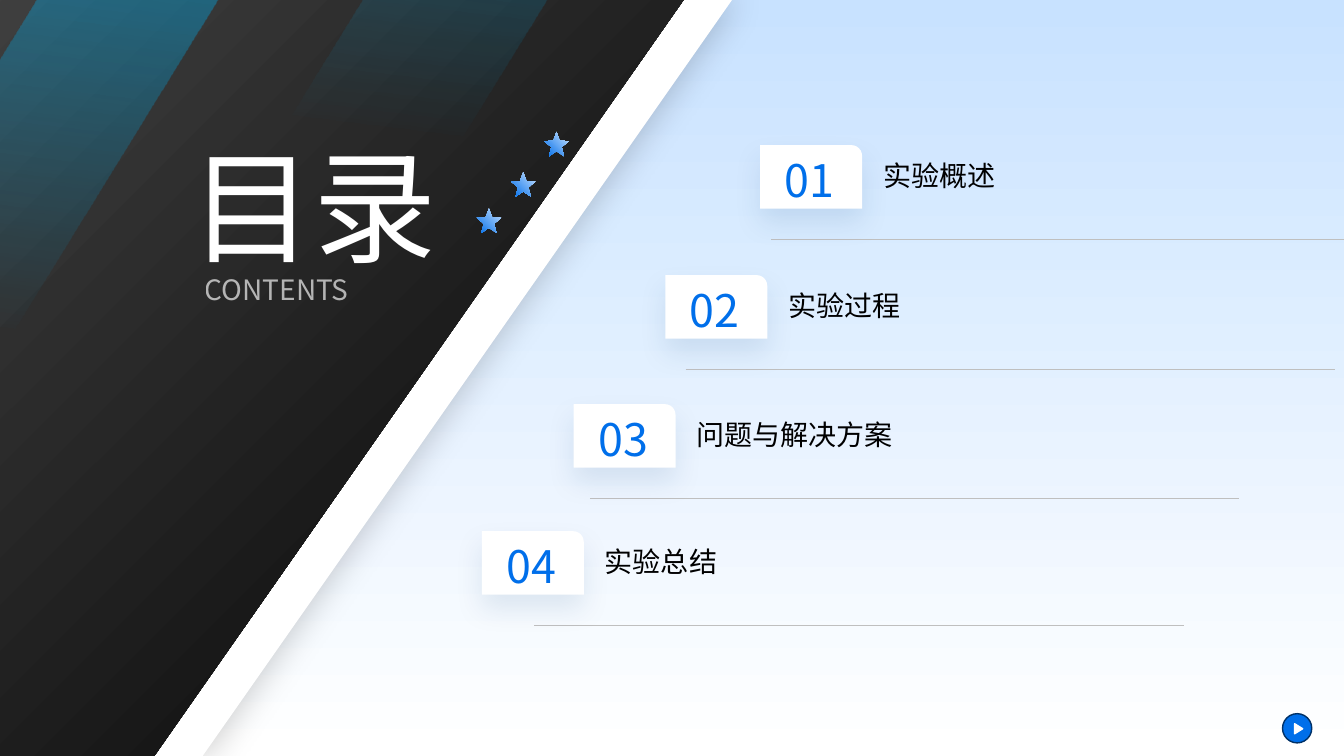
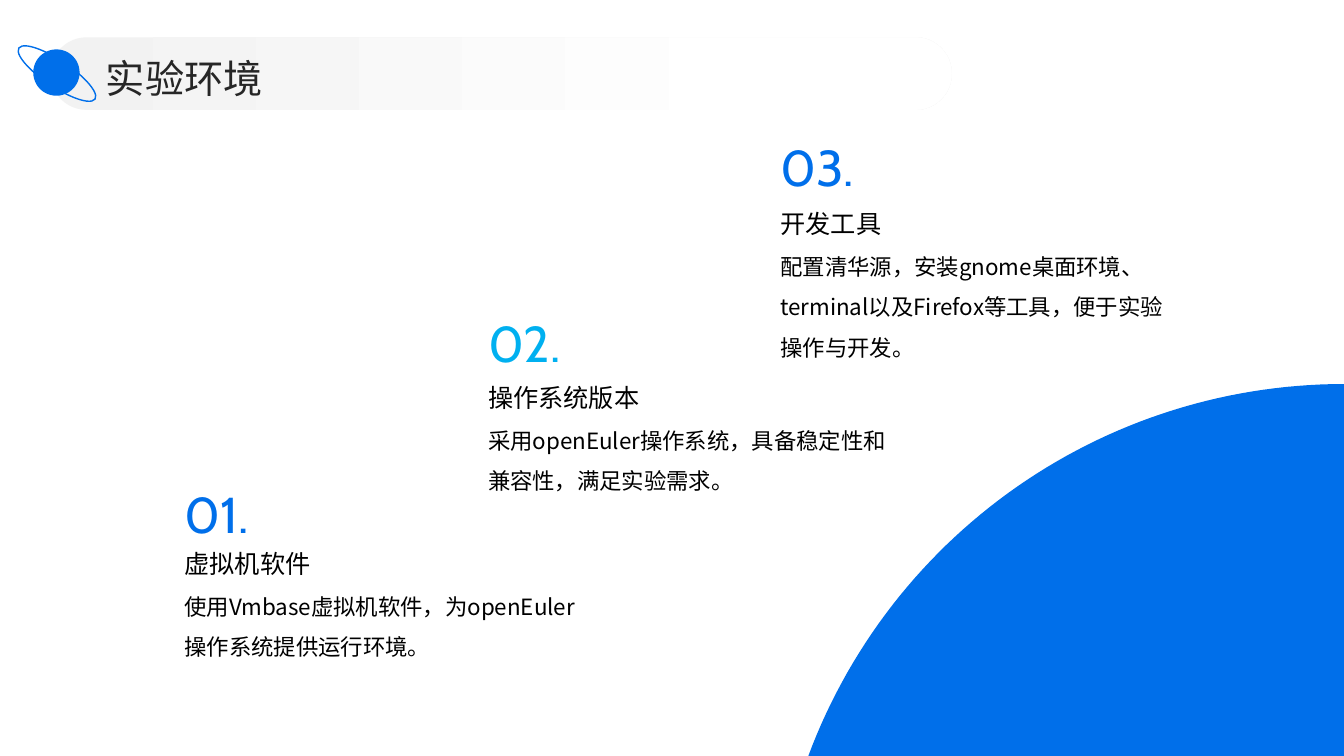
"""Build a contents slide and an experiment-environment slide."""
from dataclasses import dataclass
from math import acos, cos, sin

from lxml.etree import SubElement
from pptx import Presentation
from pptx.dml.color import RGBColor
from pptx.enum.shapes import MSO_CONNECTOR, MSO_SHAPE
from pptx.enum.text import MSO_ANCHOR, PP_ALIGN
from pptx.oxml.ns import qn
from pptx.util import Inches, Pt


@dataclass(frozen=True)
class Theme:
    """Colours, fonts and type sizes."""
    blue: str = "006FEA"
    navy: str = "003167"
    cyan: str = "00B0F0"
    sky: str = "C8E2FF"
    white: str = "FFFFFF"
    black: str = "000000"
    charcoal: str = "404040"
    ink: str = "262626"
    mist: str = "F2F2F2"
    rule: str = "BFBFBF"
    card_shadow: str = "003775"
    font: str = "Noto Sans CJK SC"
    number_font: str = "Cabin"
    cover_size: int = 88
    step_number_size: int = 36
    card_number_size: int = 32
    title_size: int = 28
    label_size: int = 20
    heading_size: int = 18
    body_size: int = 16


THEME = Theme()
WIDTH, HEIGHT = 13.33, 7.5

COVER_TITLE = "目录"
COVER_SUBTITLE = "CONTENTS"
AGENDA = [
    ("01", "实验概述", 7.54, 1.44, 7.65),
    ("02", "实验过程", 6.6, 2.73, 6.8),
    ("03", "问题与解决方案", 5.69, 4.01, 5.85),
    ("04", "实验总结", 4.78, 5.27, 5.3),
]
RULE_LENGTH = 6.44
STARS = [(5.4, 1.31), (5.07, 1.71), (4.73, 2.07)]
WHITE_EDGE = [(-0.43, 0), (7.26, 0), (2.01, 7.5), (-0.43, 7.5)]
DARK_PANEL = [(-0.43, 0), (6.78, 0), (1.53, 7.5), (-0.43, 7.5)]
LIGHT_BEAMS = [
    [(5.75, -3.51), (7.58, -3.51), (3.97, 2.36), (2.64, 1.55)],
    [(1.29, -1.51), (3.09, -1.51), (-0.46, 4.25), (-1.76, 3.45)],
]
PLAY_ARROW = [(12.84, 7.18), (12.92, 7.23), (12.84, 7.28)]

ENVIRONMENT_TITLE = "实验环境"
STEPS = [
    ("01.", "虚拟机软件", "使用Vmbase虚拟机软件，为openEuler操作系统提供运行环境。",
     THEME.blue, 1.83, 4.73, 5.4, 3.9),
    ("02.", "操作系统版本", "采用openEuler操作系统，具备稳定性和兼容性，满足实验需求。",
     THEME.cyan, 4.84, 3.04, 3.75, 3.98),
    ("03.", "开发工具", "配置清华源，安装gnome桌面环境、terminal以及Firefox等工具，便于实验操作与开发。",
     THEME.blue, 7.74, 1.29, 2.03, 3.89),
]
DISC_TOP, DISC_RADIUS, ARC_STEPS = 3.81, 5.67, 60


def rgb(color):
    """Turn a hex string into a colour."""
    return RGBColor.from_string(color)


def set_alpha(element, alphas):
    """Give the colours inside an element their opacities, in percent."""
    for color, alpha in zip(list(element.iter(qn("a:srgbClr"))), alphas):
        SubElement(color, qn("a:alpha")).set("val", str(alpha * 1000))


def fill_gradient(fill, start, end, angle, end_at=100):
    """Fill with a two-colour gradient at a clockwise angle."""
    fill.gradient()
    fill.gradient_angle = (360 - angle) % 360
    for stop, color, position in zip(fill.gradient_stops, (start, end), (0, end_at)):
        stop.color.rgb = rgb(color)
        stop.position = position / 100


def finish(shape, fill=None, line=None, width=1):
    """Set a solid fill and outline and drop the inherited shadow."""
    if fill:
        shape.fill.solid()
        shape.fill.fore_color.rgb = rgb(fill)
    else:
        shape.fill.background()
    if line:
        shape.line.color.rgb = rgb(line)
        shape.line.width = Pt(width)
    else:
        shape.line.fill.background()
    shape.shadow.inherit = False
    return shape


def cast_shadow(shape, color, alpha, blur, distance, direction):
    """Add an outer shadow."""
    effects = shape._element.spPr.find(qn("a:effectLst"))
    shadow = SubElement(effects, qn("a:outerShdw"), blurRad=str(Pt(blur)),
                        dist=str(Pt(distance)), dir=str(direction * 60000),
                        algn="ctr", rotWithShape="0")
    SubElement(shadow, qn("a:srgbClr")).set("val", color)
    set_alpha(shadow, [alpha])


def add_preset(shapes, preset, box, **look):
    """Add a preset shape at a box in inches."""
    return finish(shapes.add_shape(preset, *map(Inches, box)), **look)


def add_polygon(shapes, points, **look):
    """Add a closed outline through points in inches."""
    corners = [(Inches(x), Inches(y)) for x, y in points]
    builder = shapes.build_freeform(*corners[0])
    builder.add_line_segments(corners[1:], close=True)
    return finish(builder.convert_to_shape(), **look)


def write(shape, text, size, color, font=THEME.font, anchor=MSO_ANCHOR.TOP,
          align=PP_ALIGN.LEFT, spacing=1.0):
    """Put one formatted paragraph in a shape without insets."""
    frame = shape.text_frame
    frame.text = text
    frame.word_wrap = True
    frame.vertical_anchor = anchor
    frame.margin_left = frame.margin_right = frame.margin_top = frame.margin_bottom = 0
    paragraph = frame.paragraphs[0]
    paragraph.alignment = align
    paragraph.line_spacing = spacing
    run = paragraph.runs[0]
    run.font.size = Pt(size)
    run.font.color.rgb = rgb(color)
    run.font.name = font
    SubElement(run.font._element, qn("a:ea")).set("typeface", font)
    return run


def add_text(slide, box, text, size, color, **style):
    """Add a text box at a box in inches."""
    return write(slide.shapes.add_textbox(*map(Inches, box)), text, size, color, **style)


def place_title(slide, box, text, size, color, **style):
    """Move the title placeholder to the front, place it and format it."""
    title = slide.shapes.title
    slide.shapes._spTree.append(title._element)
    title.left, title.top, title.width, title.height = map(Inches, box)
    write(title, text, size, color, **style)


def add_rule(slide, left, right, y):
    """Add a thin horizontal line."""
    rule = slide.shapes.add_connector(
        MSO_CONNECTOR.STRAIGHT, *map(Inches, (left, y, right, y)))
    rule.line.color.rgb = rgb(THEME.rule)
    rule.line.width = Pt(0.5)
    SubElement(rule._element.spPr, qn("a:effectLst"))


def build_contents(slide):
    """Draw the contents slide."""
    shapes = slide.shapes
    fill_gradient(slide.background.fill, THEME.sky, THEME.white, 90)
    edge = add_polygon(shapes, WHITE_EDGE, fill=THEME.white)
    cast_shadow(edge, THEME.black, 20, 25, 3, 0)
    panel = add_polygon(shapes, DARK_PANEL)
    fill_gradient(panel.fill, THEME.charcoal, THEME.black, 45)
    for points in LIGHT_BEAMS:
        beam = add_polygon(shapes, points)
        fill_gradient(beam.fill, THEME.cyan, THEME.cyan, 97, end_at=81)
        set_alpha(beam._element.spPr, [55, 0])

    for number, label, x, y, rule_x in AGENDA:
        add_rule(slide, rule_x, min(rule_x + RULE_LENGTH, WIDTH), y + 0.93)
        card = add_preset(shapes, MSO_SHAPE.ROUND_1_RECTANGLE, (x, y, 1.01, 0.63),
                          fill=THEME.white)
        cast_shadow(card, THEME.card_shadow, 10, 20, 10, 90)
        write(card, number, THEME.card_number_size, THEME.blue,
              anchor=MSO_ANCHOR.MIDDLE, align=PP_ALIGN.CENTER, spacing=1.1)
        add_text(slide, (x + 1.22, y - 0.21, 3.87, 1.02), label, THEME.label_size,
                 THEME.black, anchor=MSO_ANCHOR.MIDDLE)

    for x, y in STARS:
        star = add_preset(shapes, MSO_SHAPE.STAR_5_POINT, (x, y, 0.24, 0.24))
        star.adjustments[0] = 0.213
        star._element.spPr.xfrm.set("flipH", "1")
        fill_gradient(star.fill, THEME.sky, THEME.blue, 45)

    add_preset(shapes, MSO_SHAPE.OVAL, (12.72, 7.08, 0.29, 0.29),
               fill=THEME.blue, line=THEME.navy)
    add_polygon(shapes, PLAY_ARROW, fill=THEME.white, line=THEME.white)
    subtitle = add_text(slide, (2.03, 2.7, 1.69, 0.34), COVER_SUBTITLE,
                        THEME.label_size, THEME.white)
    set_alpha(subtitle.font._element, [65])
    place_title(slide, (1.89, 1.29, 3.11, 1.48), COVER_TITLE,
                THEME.cover_size, THEME.white)


def build_environment(slide):
    """Draw the experiment-environment slide."""
    shapes = slide.shapes
    for number, heading, body, color, x, number_y, heading_y, width in STEPS:
        add_text(slide, (x, number_y, 1.08, 0.61), number, THEME.step_number_size,
                 color, font=THEME.number_font, spacing=1.1)
        add_text(slide, (x, heading_y, width, 0.34), heading, THEME.heading_size,
                 THEME.black, anchor=MSO_ANCHOR.BOTTOM, spacing=1.3)
        add_text(slide, (x, heading_y + 0.35, width, 1.07), body, THEME.body_size,
                 THEME.black, spacing=1.5)

    center_y = DISC_TOP + DISC_RADIUS
    sweep = acos((center_y - HEIGHT) / DISC_RADIUS)
    angles = [sweep * step / ARC_STEPS for step in range(ARC_STEPS + 1)]
    arc = [(WIDTH - DISC_RADIUS * sin(a), center_y - DISC_RADIUS * cos(a)) for a in angles]
    add_polygon(shapes, [(WIDTH, HEIGHT), *arc], fill=THEME.blue)

    band = add_preset(shapes, MSO_SHAPE.ROUNDED_RECTANGLE, (0.5, 0.37, 8.94, 0.72))
    band.adjustments[0] = 0.5
    fill_gradient(band.fill, THEME.mist, THEME.white, 0, end_at=80)
    planet = shapes.add_group_shape().shapes
    add_preset(planet, MSO_SHAPE.OVAL, (0.33, 0.49, 0.46, 0.46), fill=THEME.blue)
    ring = add_preset(planet, MSO_SHAPE.OVAL, (0.11, 0.6, 0.91, 0.26), line=THEME.blue)
    ring.rotation = 33.8
    place_title(slide, (1.05, 0.49, 11.67, 0.51), ENVIRONMENT_TITLE, THEME.title_size,
                THEME.ink, anchor=MSO_ANCHOR.MIDDLE, spacing=1.1)


def main():
    """Build and save the presentation."""
    deck = Presentation()
    deck.slide_width, deck.slide_height = Inches(WIDTH), Inches(HEIGHT)
    title_only = deck.slide_layouts[5]
    for build in (build_contents, build_environment):
        build(deck.slides.add_slide(title_only))
    deck.save("out.pptx")


if __name__ == "__main__":
    main()
